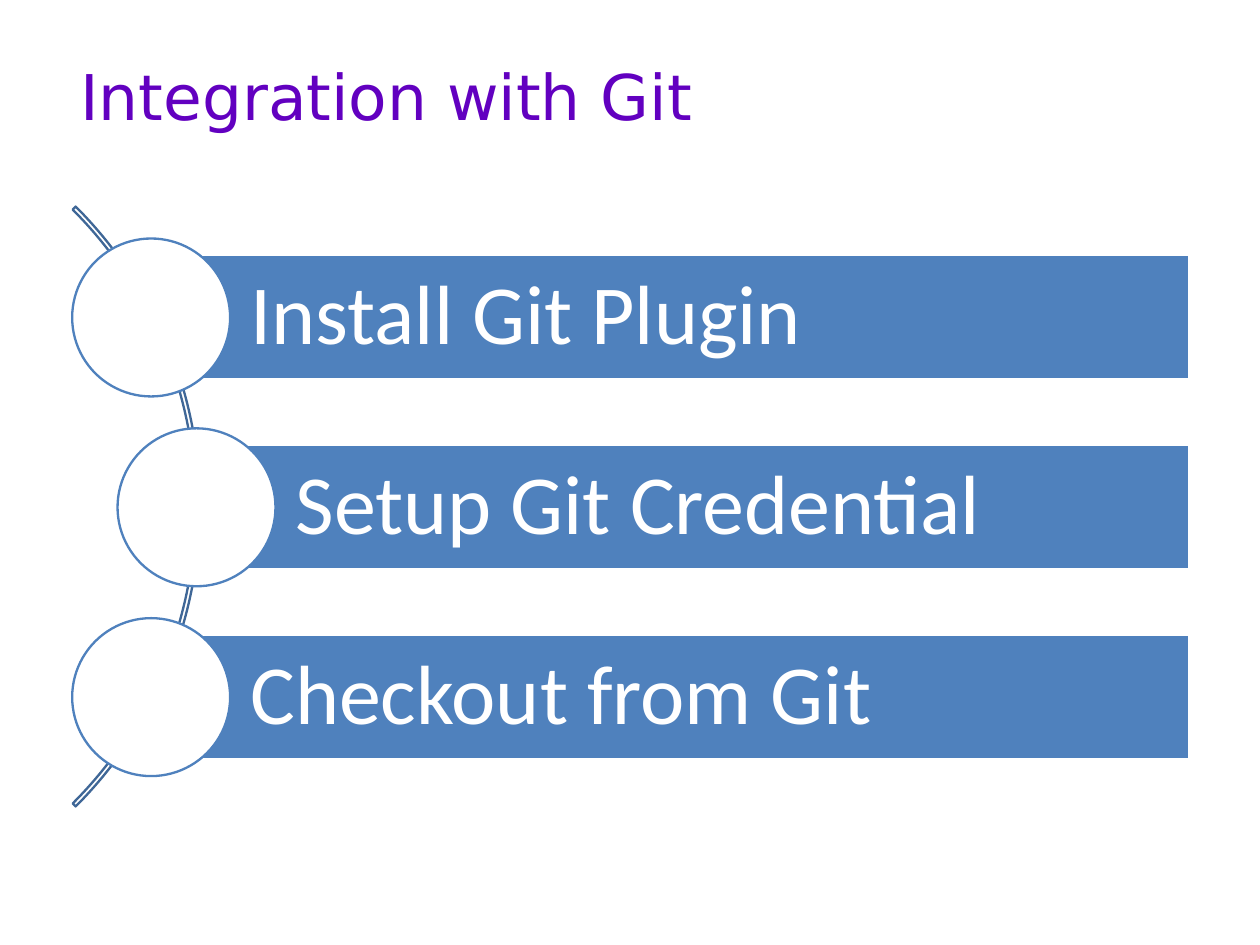
from dataclasses import dataclass

import pptx
import pptx.dml.color
import pptx.enum.shapes
import pptx.enum.text
import pptx.shapes.autoshape
import pptx.slide
import pptx.text.text
import pptx.util

Inches = pptx.util.Inches
Shape = pptx.shapes.autoshape.Shape
Slide = pptx.slide.Slide
ShapeType = pptx.enum.shapes.MSO_SHAPE

COLORS = {
    "title": "6200C0",
    "bar": "4F81BD",
    "arc": "3F6797",
    "white": "FFFFFF",
}
SLIDE_WIDTH = 7.5
SLIDE_HEIGHT = SLIDE_WIDTH * 3 / 4
BAR_RIGHT = 7.08
BAR_HEIGHT = 0.74
CIRCLE_SIZE = 0.94
FIRST_CENTER = 1.89
STEP_PITCH = 1.13


@dataclass
class Step:
    text: str
    center_x: float


STEPS = [
    Step("Install Git Plugin", 0.9),
    Step("Setup Git Credential", 1.17),
    Step("Checkout from Git", 0.9),
]


def rgb(name: str) -> pptx.dml.color.RGBColor:
    return pptx.dml.color.RGBColor.from_string(COLORS[name])


def add_shape(slide: Slide, kind: ShapeType, left: float, top: float,
              width: float, height: float, fill: str | None, line: str) -> Shape:
    shape = slide.shapes.add_shape(
        kind, Inches(left), Inches(top), Inches(width), Inches(height))
    shape.shadow.inherit = False
    if fill is None:
        shape.fill.background()
    else:
        shape.fill.solid()
        shape.fill.fore_color.rgb = rgb(fill)
    shape.line.color.rgb = rgb(line)
    shape.line.width = pptx.util.Pt(1)
    return shape


def write_text(shape: Shape, text: str, font_name: str, size: float,
               color: str) -> pptx.text.text._Paragraph:
    frame = shape.text_frame
    frame.word_wrap = True
    frame.vertical_anchor = pptx.enum.text.MSO_ANCHOR.MIDDLE
    paragraph = frame.paragraphs[0]
    paragraph.text = text
    paragraph.alignment = pptx.enum.text.PP_ALIGN.LEFT
    paragraph.font.name = font_name
    paragraph.font.size = pptx.util.Pt(size)
    paragraph.font.color.rgb = rgb(color)
    return paragraph


def add_step(slide: Slide, step: Step, center_y: float) -> None:
    bar = add_shape(slide, ShapeType.RECTANGLE, step.center_x,
                    center_y - BAR_HEIGHT / 2, BAR_RIGHT - step.center_x,
                    BAR_HEIGHT, "bar", "white")
    paragraph = write_text(bar, step.text, "Calibri", 36, "white")
    paragraph.line_spacing = 0.9
    frame = bar.text_frame
    frame.margin_left = Inches(0.59)
    frame.margin_top = frame.margin_right = frame.margin_bottom = Inches(0.1)
    add_shape(slide, ShapeType.OVAL, step.center_x - CIRCLE_SIZE / 2,
              center_y - CIRCLE_SIZE / 2, CIRCLE_SIZE, CIRCLE_SIZE, "white", "bar")


def main() -> None:
    presentation = pptx.Presentation()
    presentation.slide_width = Inches(SLIDE_WIDTH)
    presentation.slide_height = Inches(SLIDE_HEIGHT)
    slide = presentation.slides.add_slide(presentation.slide_layouts[6])

    # Title
    title = slide.shapes.add_textbox(
        Inches(0.38), Inches(0.23), Inches(6.75), Inches(0.67))
    write_text(title, "Integration with Git", "DejaVu Sans", 27, "title")

    # Arc behind the steps, from 315 to 45 degrees
    arc = add_shape(slide, ShapeType.BLOCK_ARC, -3.86, 0.49, 5.05, 5.05, None, "arc")
    for index, value in enumerate((189, 27, 0.005)):
        arc.adjustments[index] = value

    # Steps
    for index, step in enumerate(STEPS):
        add_step(slide, step, FIRST_CENTER + index * STEP_PITCH)

    presentation.save("out.pptx")


if __name__ == "__main__":
    main()
